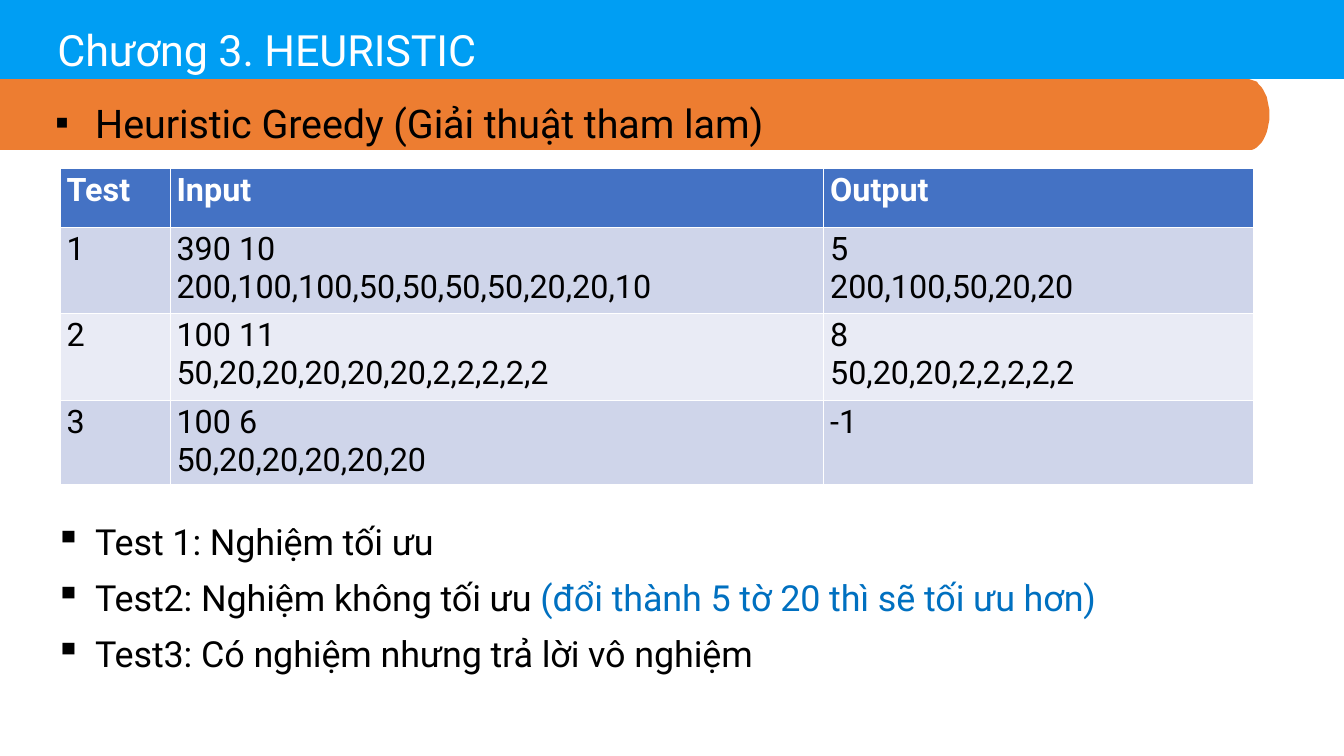
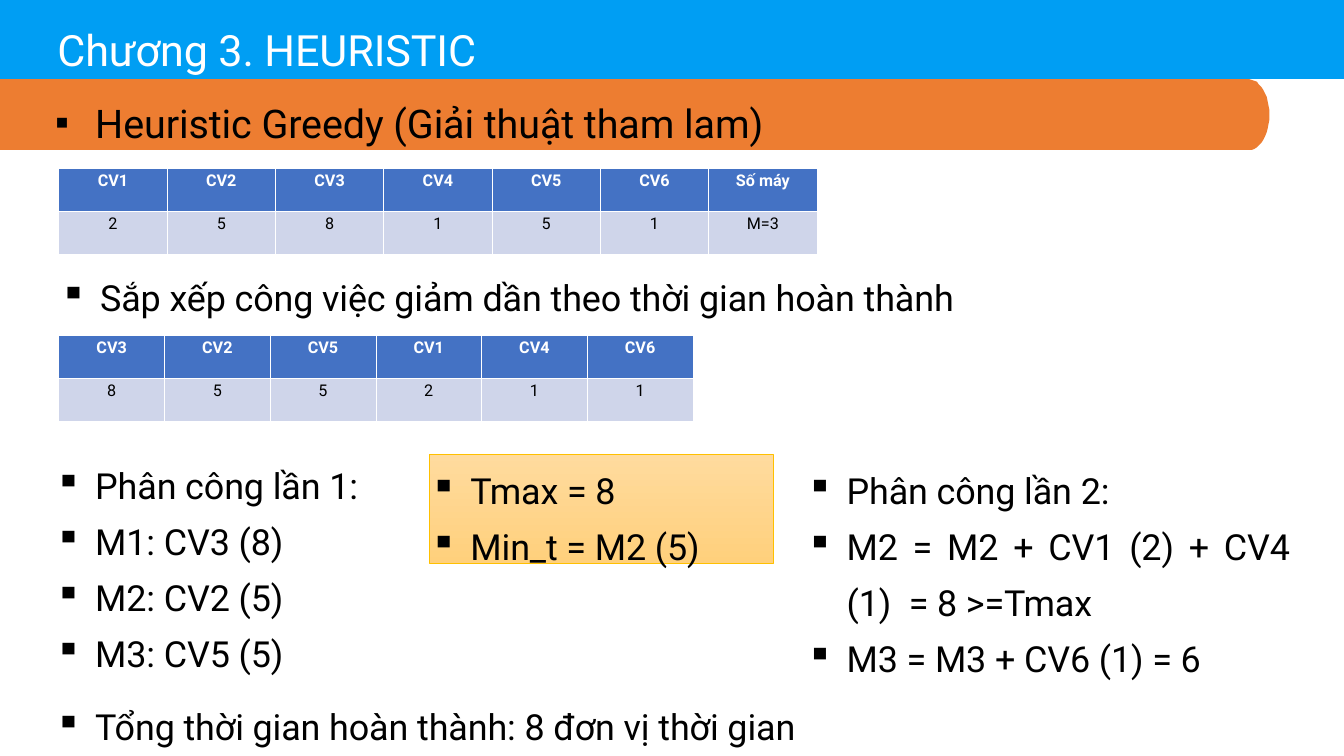
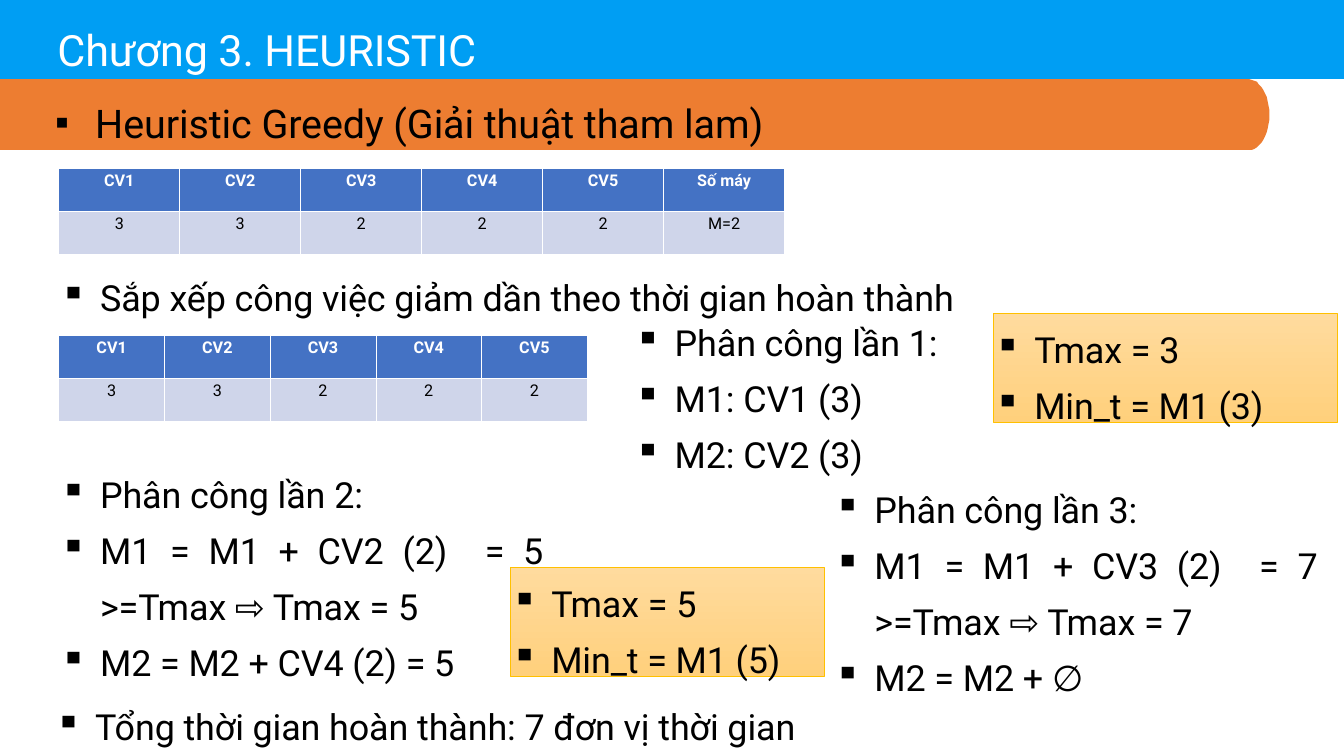
from math import cos, pi, sin

from lxml.etree import SubElement
from pptx import Presentation
from pptx.dml.color import RGBColor as RGB
from pptx.enum.shapes import MSO_SHAPE as Shape
from pptx.enum.text import MSO_ANCHOR as Anchor
from pptx.enum.text import MSO_AUTO_SIZE as Fit
from pptx.enum.text import PP_ALIGN as Align
from pptx.oxml.ns import qn
from pptx.util import Pt

FONT = "Roboto"
WHITE = RGB(0xFF, 0xFF, 0xFF)
BLACK = RGB(0x00, 0x00, 0x00)
SKY = RGB(0x00, 0x9E, 0xF3)
ORANGE = RGB(0xED, 0x7D, 0x31)
HINT = RGB(0x00, 0x70, 0xC0)
HEAD = RGB(0x44, 0x72, 0xC4)
ODD = RGB(0xCF, 0xD5, 0xEA)
EVEN = RGB(0xE9, 0xEB, 0xF5)
PALE = RGB(0xFF, 0xDB, 0x9E)
AMBER = RGB(0xFF, 0xD0, 0x7C)
GOLD = RGB(0xFF, 0xC0, 0x00)

WIDTH, HEIGHT = 1497, 842
TITLE = "Chương 3. HEURISTIC"
TOPIC = "Heuristic Greedy (Giải thuật tham lam)"
SORT = "Sắp xếp công việc giảm dần theo thời gian hoàn thành"

# Tables: left, top, column widths, row heights, text size, alignment, rows.
# Lists: left, top, width, height, boxed, lines.
SLIDES = [
    ([(67, 187, [122.5, 728, 479], [66, 96.5, 96.5, 88.5], 36, Align.LEFT, [
        ["Test", "Input", "Output"],
        ["1", "390 10\n200,100,100,50,50,50,50,20,20,10", "5\n200,100,50,20,20"],
        ["2", "100 11\n50,20,20,20,20,20,2,2,2,2,2", "8\n50,20,20,2,2,2,2,2"],
        ["3", "100 6\n50,20,20,20,20,20", "-1"]])],
     [(60, 563, 1319, 184, False, [
         "Test 1: Nghiệm tối ưu",
         "Test2: Nghiệm không tối ưu |(đổi thành 5 tờ 20 thì sẽ tối ưu hơn)",
         "Test3: Có nghiệm nhưng trả lời vô nghiệm"])]),
    ([(65.5, 187, [120.65] * 7, [48, 48], 18, Align.CENTER, [
        ["CV1", "CV2", "CV3", "CV4", "CV5", "CV6", "Số máy"],
        ["2", "5", "8", "1", "5", "1", "M=3"]]),
      (65.5, 373, [117.75] * 6, [48, 48], 18, Align.CENTER, [
          ["CV3", "CV2", "CV5", "CV1", "CV4", "CV6"],
          ["8", "5", "5", "2", "1", "1"]])],
     [(65.5, 291.5, 1332, 58, False, [SORT]),
      (60, 500.5, 383, 248, False, [
          "Phân công lần 1:", "M1: CV3 (8)", "M2: CV2 (5)", "M3: CV5 (5)"]),
      (478, 506, 383, 121.5, True, ["Tmax = 8", "Min_t = M2 (5)"]),
      (897, 506, 540, 248, False, [
          "Phân công lần 2:", "M2 = M2 + CV1 (2) + CV4 (1)  = 8 >=Tmax",
          "M3 = M3 + CV6 (1) = 6"]),
      (60, 769, 1332, 58, False, ["Tổng thời gian hoàn thành: 8 đơn vị thời gian"])]),
    ([(65.5, 187, [134.75] * 6, [48, 48], 18, Align.CENTER, [
        ["CV1", "CV2", "CV3", "CV4", "CV5", "Số máy"],
        ["3", "3", "2", "2", "2", "M=2"]]),
      (65.5, 373, [117.75] * 5, [48, 48], 18, Align.CENTER, [
          ["CV1", "CV2", "CV3", "CV4", "CV5"],
          ["3", "3", "2", "2", "2"]])],
     [(65.5, 291.5, 1332, 58, False, [SORT]),
      (705.5, 342, 383, 184, False, [
          "Phân công lần 1:", "M1: CV1 (3)", "M2: CV2 (3)"]),
      (1106, 349, 383, 121.5, True, ["Tmax = 3", "Min_t = M1 (3)"]),
      (65.5, 511, 540, 248, False, [
          "Phân công lần 2:", "M1 = M1 + CV2 (2)  = 5 >=Tmax ⇨ Tmax = 5",
          "M2 = M2 + CV4 (2) = 5"]),
      (60, 769, 1332, 58, False, ["Tổng thời gian hoàn thành: 7 đơn vị thời gian"]),
      (928, 528, 540, 248, False, [
          "Phân công lần 3:", "M1 = M1 + CV3 (2)  = 7 >=Tmax ⇨ Tmax = 7",
          "M2 = M2 + ∅"]),
      (568, 632, 350, 121.5, True, ["Tmax = 5", "Min_t = M1 (5)"])]),
]


def add_run(para, text, size, color, bold=False):
    run = para.add_run()
    run.text = text
    font = run.font
    font.name, font.size, font.bold = FONT, Pt(size), bold
    font.color.rgb = color
    return run


def add_list(frame, lines, size):
    """Fill a frame with bulleted lines; what follows a bar is a coloured hint."""
    frame.word_wrap = True
    frame.auto_size = Fit.SHAPE_TO_FIT_TEXT
    frame.vertical_anchor = Anchor.TOP
    frame.margin_left = frame.margin_right = frame.margin_bottom = 0
    frame.margin_top = Pt(1)
    for i, line in enumerate(lines):
        para = frame.add_paragraph() if i else frame.paragraphs[0]
        para.alignment = Align.JUSTIFY
        para.line_spacing = 1.3
        para.space_before = Pt(0)
        props = para._p.get_or_add_pPr()
        props.set("marL", str(Pt(46)))
        props.set("indent", str(Pt(-44.5)))
        SubElement(props, qn("a:buChar")).set("char", "▪")
        for text, color in zip(line.split("|"), (BLACK, HINT)):
            run = add_run(para, text, size, color)
            run._r.get_or_add_rPr().set("spc", "-10")


deck = Presentation()
deck.slide_width, deck.slide_height = Pt(WIDTH), Pt(HEIGHT)

# The layout holds the places of title and topic.
layout = deck.slide_layouts[1]
places = {0: (64, 25, 1350, 59), 1: (60, 93, 1355, 64)}
for holder in list(layout.placeholders):
    place = places.get(holder.placeholder_format.idx)
    if place:
        holder.left, holder.top, holder.width, holder.height = map(Pt, place)
    else:
        holder.element.getparent().remove(holder.element)

pages = [deck.slides.add_slide(layout) for _ in SLIDES]

# The two bands are drawn once and moved to the layout.
shapes = pages[0].shapes
bar = shapes.add_shape(Shape.RECTANGLE, 0, 0, Pt(WIDTH), Pt(88))
top, base, edge, bulge = 88.5, 167, 1391, 23
half = (base - top) / 2
turns = [pi * (i / 24 - 0.5) for i in range(25)]
arc = [(edge + bulge * cos(t), top + half + half * sin(t)) for t in turns]
path = shapes.build_freeform(0, top, scale=Pt(1))
path.add_line_segments(arc + [(0, base)], close=True)
tab = path.convert_to_shape()
for spot, (band, color) in enumerate([(bar, SKY), (tab, ORANGE)], 2):
    band.shadow.inherit = False
    band.fill.solid()
    band.fill.fore_color.rgb = color
    band.line.fill.background()
    layout.shapes.element.insert(spot, band.element)

for page, (tables, lists) in zip(pages, SLIDES):
    shapes = page.shapes

    frame = shapes.title.text_frame
    frame.word_wrap = True
    frame.auto_size = Fit.SHAPE_TO_FIT_TEXT
    frame.vertical_anchor = Anchor.TOP
    frame.margin_left = frame.margin_right = frame.margin_bottom = 0
    frame.margin_top = Pt(1)
    para = frame.paragraphs[0]
    para.alignment = Align.LEFT
    para.space_before = Pt(1)
    run = add_run(para, TITLE, 48, WHITE)
    run._r.get_or_add_rPr().set("spc", "-10")

    add_list(page.placeholders[1].text_frame, [TOPIC], 44)

    for left, top, wide, high, size, align, rows in tables:
        table = shapes.add_table(len(high), len(wide), Pt(left), Pt(top),
                                 Pt(sum(wide)), Pt(sum(high))).table
        for col, width in zip(table.columns, wide):
            col.width = Pt(width)
        for r, (row, height) in enumerate(zip(rows, high)):
            table.rows[r].height = Pt(height)
            for c, text in enumerate(row):
                cell = table.cell(r, c)
                cell.fill.solid()
                cell.fill.fore_color.rgb = (ODD if r % 2 else EVEN) if r else HEAD
                frame = cell.text_frame
                for i, line in enumerate(text.split("\n")):
                    para = frame.add_paragraph() if i else frame.paragraphs[0]
                    para.alignment = align
                    add_run(para, line, size, BLACK if r else WHITE, r == 0)

    for left, top, width, height, boxed, lines in lists:
        place = map(Pt, (left, top, width, height))
        if boxed:
            box = shapes.add_shape(Shape.RECTANGLE, *place)
            box.shadow.inherit = False
            box.fill.gradient()
            box.fill.gradient_angle = 270
            for stop, color in zip(box.fill.gradient_stops, (PALE, AMBER)):
                stop.color.rgb = color
            box.line.color.rgb = GOLD
            box.line.width = Pt(0.5)
        else:
            box = shapes.add_textbox(*place)
        add_list(box.text_frame, lines, 40)

deck.save("out.pptx")
